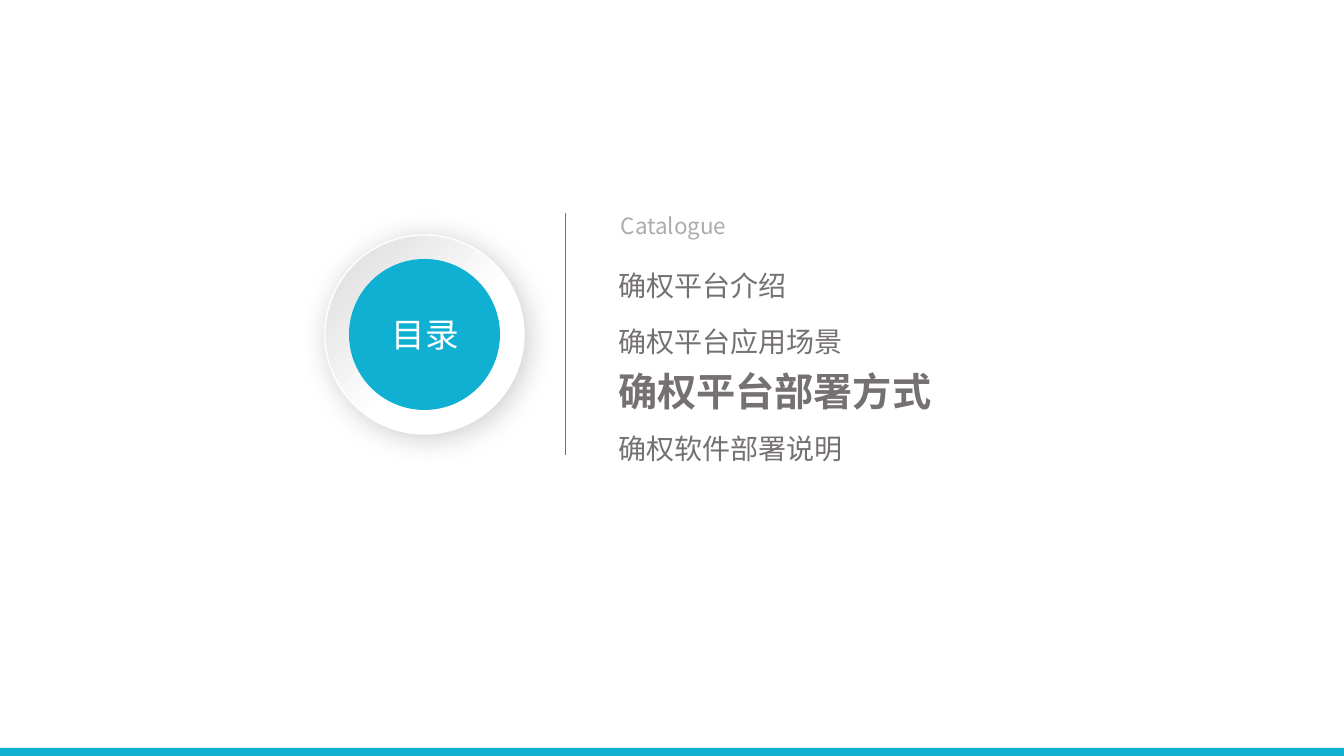
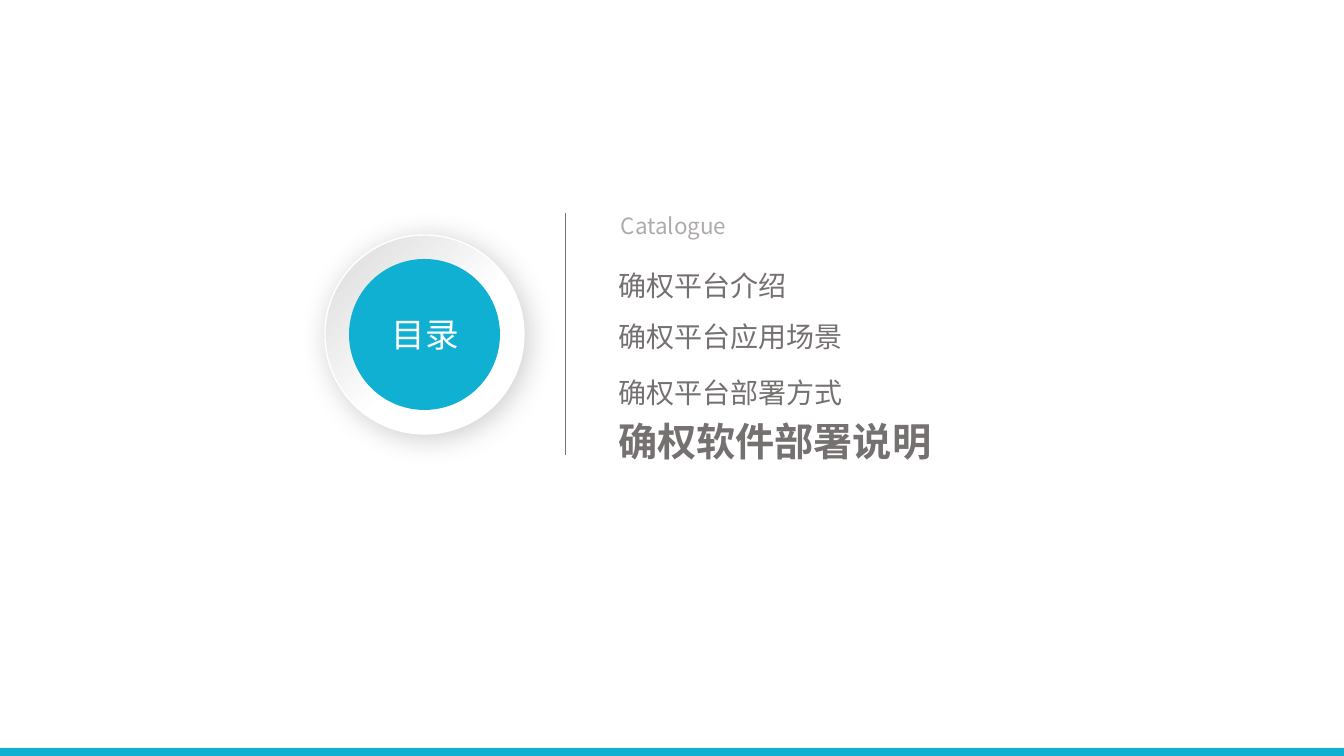
from lxml import etree
from pptx import Presentation
from pptx import util as u
from pptx.dml.color import RGBColor
from pptx.enum import shapes, text
from pptx.oxml.ns import qn

WIDTH, HEIGHT = 1344, 756
SCALE = 12192000 / WIDTH
FONT = "Noto Sans CJK SC"
ACCENT, WHITE, SILVER = "0FB0D2", "FFFFFF", "D9D9D9"
INK, MUTED, BLACK = "767171", "AFABAB", "000000"
CHAPTERS = ["确权平台介绍", "确权平台应用场景", "确权平台部署方式", "确权软件部署说明"]


def px(length):
    return u.Emu(round(length * SCALE))


def box(*lengths):
    return [px(length) for length in lengths]


def color(hex_string):
    return RGBColor.from_string(hex_string)


def place(holder, bounds):
    holder.left, holder.top, holder.width, holder.height = box(*bounds)


def write(paragraph, words, size, ink, bold=False, align=text.PP_ALIGN.LEFT, spacing=1.0):
    paragraph.alignment = align
    paragraph.line_spacing = spacing
    paragraph.space_before = u.Pt(0)
    run = paragraph.add_run()
    run.text = words
    run.font.size, run.font.bold, run.font.name = u.Pt(size), bold, FONT
    run.font.color.rgb = color(ink)
    etree.SubElement(run.font._element, qn("a:ea"), typeface=FONT)


def fit_frame(holder, anchor=text.MSO_ANCHOR.TOP):
    frame = holder.text_frame
    frame.word_wrap = True
    frame.auto_size = text.MSO_AUTO_SIZE.NONE
    frame.vertical_anchor = anchor
    return frame


def add_plain(parent, kind, bounds, fill):
    part = parent.add_shape(kind, *box(*bounds))
    part.shadow.inherit = False
    part.fill.solid()
    part.fill.fore_color.rgb = color(fill)
    part.line.fill.background()
    return part


def add_soft_shadow(part):
    effects = part.element.spPr.find(qn("a:effectLst"))
    shadow = etree.SubElement(effects, qn("a:outerShdw"), blurRad=str(u.Pt(21)),
                              dist=str(u.Pt(4)), dir="2700000", algn="tl", rotWithShape="0")
    tint = etree.SubElement(shadow, qn("a:srgbClr"), val=BLACK)
    etree.SubElement(tint, qn("a:alpha"), val="20000")


def add_badge(slide, left, top, size):
    """Raised ring around a disc that carries the slide title."""
    group = slide.shapes.add_group_shape().shapes
    oval = shapes.MSO_SHAPE.OVAL
    ring = add_plain(group, oval, (left, top, size, size), WHITE)
    ring.fill.gradient()
    ring.fill.gradient_angle = 315
    for stop, (position, tone) in zip(ring.fill.gradient_stops, [(0, SILVER), (0.57, WHITE)]):
        stop.position, stop.color.rgb = position, color(tone)
    ring.line.color.rgb = color(WHITE)
    ring.line.width = u.Pt(1)
    add_soft_shadow(ring)

    rim = 24
    disc_size = size - 2 * rim
    add_plain(group, oval, (left + rim, top + rim, disc_size, disc_size), ACCENT)

    title = slide.shapes.title
    place(title, (left + rim + 1, top + size // 2 - 25, disc_size, 50))
    frame = fit_frame(title, text.MSO_ANCHOR.MIDDLE)
    write(frame.paragraphs[0], "目录", 24, WHITE, align=text.PP_ALIGN.CENTER)
    title.element.getparent().append(title.element)  # bring in front of the disc


def add_divider(slide, x, top, height):
    divider = slide.shapes.add_connector(shapes.MSO_CONNECTOR.STRAIGHT,
                                         *box(x, top, x, top + height))
    divider.line.color.rgb = color(INK)
    divider.line.width = u.Pt(0.5)
    etree.SubElement(divider.element.spPr, qn("a:effectLst"))


def add_chapter_list(slide, left, top, width, height, active):
    """Heading above the chapters, of which the active one is large and bold."""
    heading_height = 40
    heading = slide.shapes.add_textbox(*box(left, top, 131, 37))
    write(fit_frame(heading).paragraphs[0], "Catalogue", 16, MUTED, align=text.PP_ALIGN.CENTER)

    body = slide.placeholders[1]
    place(body, (left, top + heading_height, width, height - heading_height))
    frame = fit_frame(body)
    for index, chapter in enumerate(CHAPTERS):
        paragraph = frame.add_paragraph() if index else frame.paragraphs[0]
        current = index == active
        write(paragraph, chapter, 28 if current else 20, INK, bold=current,
              spacing=u.Pt(40) if index in (active - 1, active) else 1.5)
        layout = paragraph._p.get_or_add_pPr()
        layout.set("marL", "0")
        layout.set("indent", "0")
        etree.SubElement(layout, qn("a:buNone"))


def add_footer_band(slide):
    thickness = 8
    add_plain(slide.shapes, shapes.MSO_SHAPE.RECTANGLE,
              (0, HEIGHT - thickness, WIDTH, thickness), ACCENT)


def add_catalogue_slide(deck, active):
    slide = deck.slides.add_slide(deck.slide_layouts[1])
    add_badge(slide, 325, 235, 199)
    add_divider(slide, 565, 213, 242)
    add_chapter_list(slide, 608, 207, 355, 265, active)
    add_footer_band(slide)


def main():
    deck = Presentation()
    deck.slide_width, deck.slide_height = box(WIDTH, HEIGHT)
    for active in (2, 3):
        add_catalogue_slide(deck, active)
    deck.save("out.pptx")


if __name__ == "__main__":
    main()
